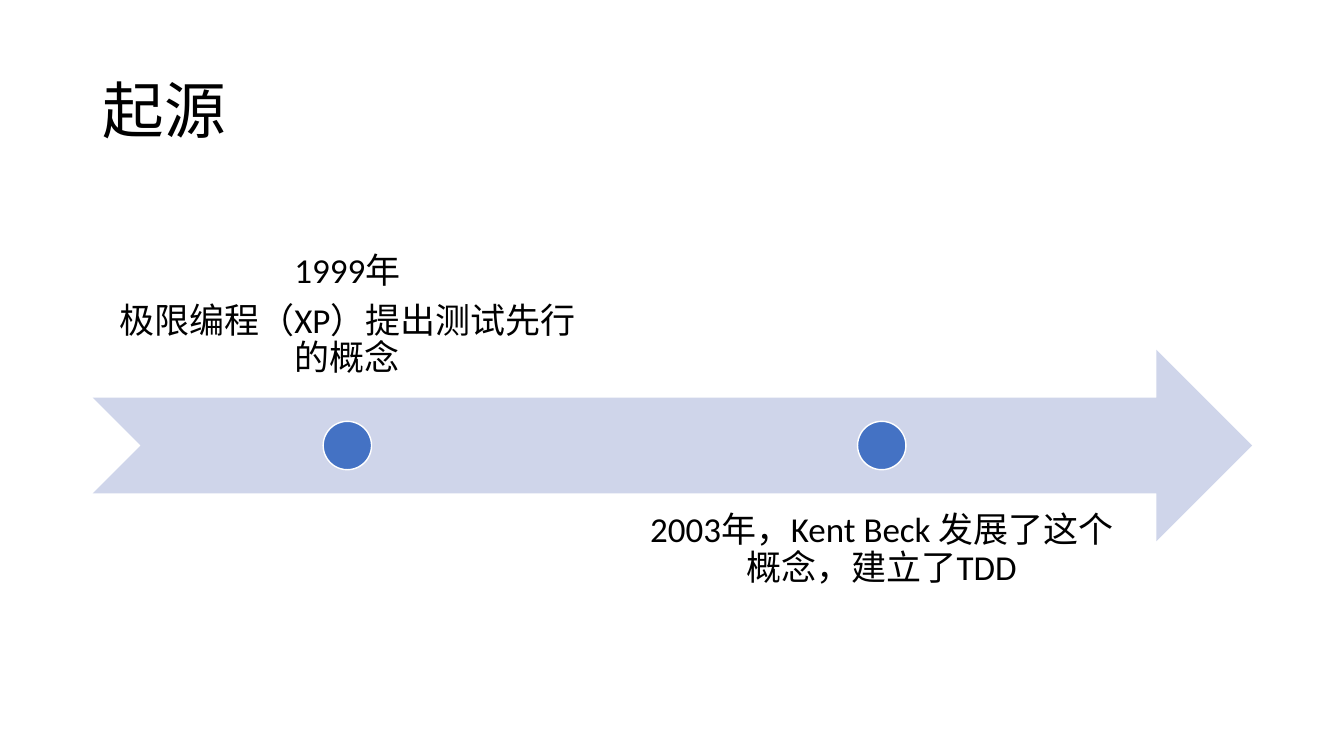
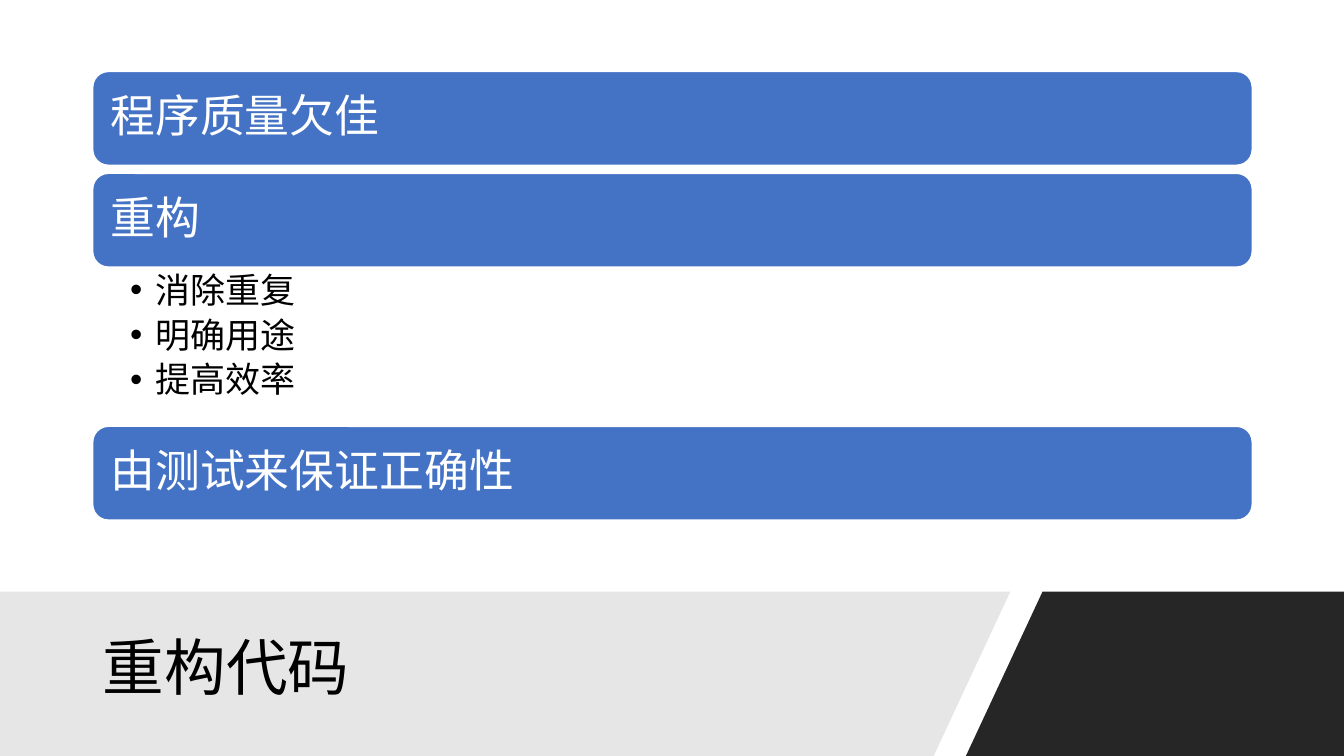
from dataclasses import dataclass

import pptx
import pptx.dml.color
import pptx.enum.lang
import pptx.enum.shapes
import pptx.enum.text
import pptx.util

Inches = pptx.util.Inches
Pt = pptx.util.Pt
Align = pptx.enum.text.PP_ALIGN
Anchor = pptx.enum.text.MSO_ANCHOR
Shape = pptx.enum.shapes.MSO_SHAPE


@dataclass(frozen=True)
class Theme:
    font: str = "Calibri"
    text: str = "000000"
    light: str = "FFFFFF"
    accent: str = "4472C4"
    pale: str = "CFD5EA"
    band: str = "E7E6E6"
    dark: str = "262626"
    title_size: int = 44
    card_size: int = 32
    body_size: int = 25
    left: float = 0.92
    width: float = 11.5


class Deck:
    TITLE_AND_BODY, TITLE_ONLY = 1, 5

    def __init__(self, theme):
        self.theme = theme
        self.prs = pptx.Presentation()
        self.prs.slide_width = Inches(13.33)
        self.prs.slide_height = Inches(7.5)
        self.slide = None

    def new_slide(self, layout):
        self.slide = self.prs.slides.add_slide(self.prs.slide_layouts[layout])

    @staticmethod
    def rgb(color):
        return pptx.dml.color.RGBColor.from_string(color)

    def place(self, shape, x, y, w, h):
        shape.left, shape.top = Inches(x), Inches(y)
        shape.width, shape.height = Inches(w), Inches(h)

    def paint(self, shape, fill, line=None):
        shape.shadow.inherit = False
        shape.fill.solid()
        shape.fill.fore_color.rgb = self.rgb(fill)
        if line:
            shape.line.color.rgb = self.rgb(line)
            shape.line.width = Pt(1)
        else:
            shape.line.fill.background()

    def set_text(self, shape, text, size, color, align=Align.LEFT,
                 anchor=Anchor.MIDDLE, margins=(0.1, 0.05, 0.1, 0.05), after=0):
        """Fill a text frame; after is a share of the type size."""
        frame = shape.text_frame
        frame.text = text
        frame.word_wrap = True
        frame.auto_size = pptx.enum.text.MSO_AUTO_SIZE.NONE
        frame.vertical_anchor = anchor
        (frame.margin_left, frame.margin_top,
         frame.margin_right, frame.margin_bottom) = map(Inches, margins)
        for paragraph in frame.paragraphs:
            paragraph.alignment = align
            paragraph.line_spacing = 0.9
            paragraph.space_before = Pt(0)
            paragraph.space_after = Pt(size * after)
            for run in paragraph.runs:
                run.font.name = self.theme.font
                run.font.size = Pt(size)
                run.font.color.rgb = self.rgb(color)
                run.font.language_id = pptx.enum.lang.MSO_LANGUAGE_ID.SIMPLIFIED_CHINESE

    def title(self, text, y, w, h):
        heading = self.slide.shapes.title
        self.place(heading, self.theme.left, y, w, h)
        self.set_text(heading, text, self.theme.title_size, self.theme.text)

    def shape(self, kind, x, y, w, h, fill, line=None):
        shape = self.slide.shapes.add_shape(kind, *map(Inches, (x, y, w, h)))
        self.paint(shape, fill, line)
        return shape

    def backdrop(self, points, fill):
        """Draw a polygon behind the title."""
        start, *rest = [(Inches(x), Inches(y)) for x, y in points]
        builder = self.slide.shapes.build_freeform(*start)
        builder.add_line_segments(rest, close=True)
        polygon = builder.convert_to_shape()
        self.paint(polygon, fill)
        self.slide.shapes.title.element.addprevious(polygon.element)

    def label(self, text, x, y, w, h, anchor):
        box = self.slide.shapes.add_textbox(*map(Inches, (x, y, w, h)))
        self.set_text(box, text, self.theme.body_size, self.theme.text,
                      Align.CENTER, anchor, (0.19,) * 4, 0.35)

    def card(self, text, y, h):
        theme = self.theme
        card = self.shape(Shape.ROUNDED_RECTANGLE, theme.left, y, theme.width, h,
                          theme.accent, theme.light)
        self.set_text(card, text, theme.card_size, theme.light,
                      margins=(0.13,) * 4, after=0.35)

    def bullets(self, items, y, h):
        theme = self.theme
        body = self.slide.placeholders[1]
        self.place(body, theme.left, y, theme.width, h)
        self.set_text(body, "\n".join(items), theme.body_size, theme.text,
                      anchor=Anchor.TOP, margins=(0.37, 0.06, 0.25, 0.04), after=0.2)
        for paragraph in body.text_frame.paragraphs:
            properties = paragraph._p.get_or_add_pPr()
            properties.set("marL", str(Inches(0.25)))
            properties.set("indent", str(Inches(-0.25)))


def origin_slide(deck):
    theme = deck.theme
    deck.new_slide(deck.TITLE_ONLY)
    deck.title("起源", 0.4, theme.width, 1.45)

    # Timeline arrow: its shaft is the middle half of its height
    arrow_top, arrow_height, dot = 3.47, 1.9, 0.48
    deck.shape(Shape.NOTCHED_RIGHT_ARROW, theme.left, arrow_top,
               theme.width, arrow_height, theme.pale)
    shaft_top = arrow_top + arrow_height / 4
    shaft_bottom = shaft_top + arrow_height / 2

    # Events, one above the shaft and one below
    events = [
        ("1999年\n极限编程（XP）提出测试先行的概念", shaft_top - arrow_height, Anchor.BOTTOM),
        ("2003年，Kent Beck 发展了这个概念，建立了TDD", shaft_bottom, Anchor.TOP),
    ]
    event_width, event_step = 5.05, 5.3
    for index, (event, y, anchor) in enumerate(events):
        x = theme.left + index * event_step
        deck.label(event, x, y, event_width, arrow_height, anchor)
        deck.shape(Shape.OVAL, x + (event_width - dot) / 2,
                   arrow_top + (arrow_height - dot) / 2, dot, dot,
                   theme.accent, theme.light)


def refactoring_slide(deck):
    theme = deck.theme
    deck.new_slide(deck.TITLE_AND_BODY)

    # Slanted footer bands with the title
    top, bottom, right = 5.87, 7.5, 13.33
    deck.backdrop([(10.34, top), (right, top), (right, bottom), (9.58, bottom)], theme.dark)
    deck.backdrop([(0, top), (10.02, top), (9.26, bottom), (0, bottom)], theme.band)
    deck.title("重构代码", 6.05, 8.44, 1.2)

    # Stacked cards, with points under the second
    cards = [
        ("程序质量欠佳", []),
        ("重构", ["消除重复", "明确用途", "提高效率"]),
        ("由测试来保证正确性", []),
    ]
    y, card_height, points_height, gap = 0.71, 0.93, 1.58, 0.08
    for heading, points in cards:
        deck.card(heading, y, card_height)
        y += card_height
        if points:
            deck.bullets(points, y, points_height)
        y += points_height if points else gap


def main():
    deck = Deck(Theme())
    origin_slide(deck)
    refactoring_slide(deck)
    deck.prs.save("out.pptx")


if __name__ == "__main__":
    main()
